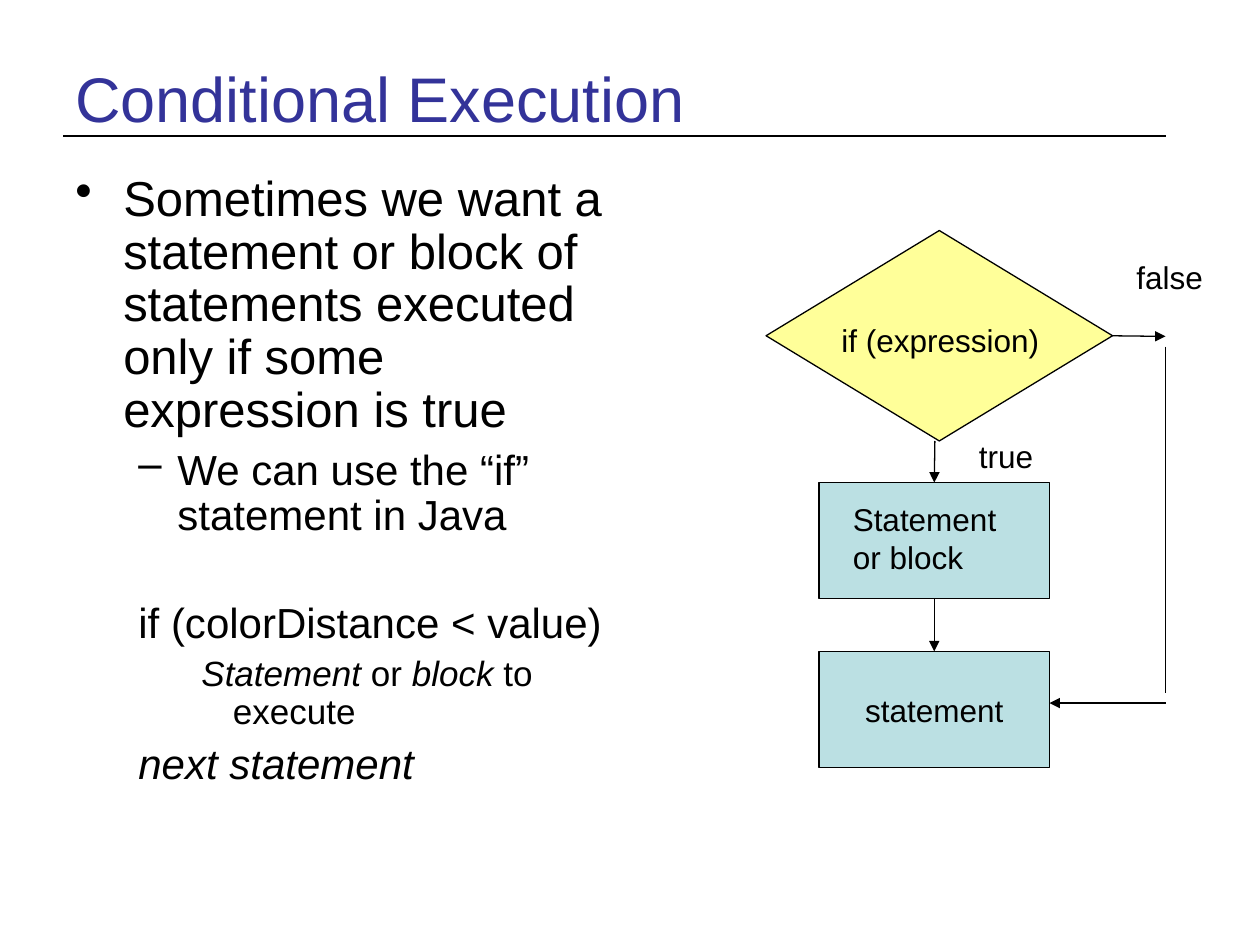
"""Build the Conditional Execution slide with its if-statement flowchart."""
import pptx
import pptx.dml.color
import pptx.enum.shapes
import pptx.enum.text
import pptx.oxml
import pptx.oxml.ns
import pptx.util
from pptx.util import Inches

BLACK = pptx.dml.color.RGBColor(0x00, 0x00, 0x00)
TITLE_BLUE = pptx.dml.color.RGBColor(0x33, 0x33, 0x99)
YELLOW = pptx.dml.color.RGBColor(0xFF, 0xFF, 0x99)
TEAL = pptx.dml.color.RGBColor(0xBB, 0xE0, 0xE3)
SHAPES = pptx.enum.shapes.MSO_SHAPE

deck = pptx.Presentation()
deck.slide_width, deck.slide_height = Inches(10), Inches(7.5)
slide = deck.slides.add_slide(deck.slide_layouts[6])


def add_line(start, end, width=0.75, arrow=False):
    line = slide.shapes.add_connector(
        pptx.enum.shapes.MSO_CONNECTOR.STRAIGHT, *map(Inches, start + end))
    line.line.color.rgb = BLACK
    line.line.width = pptx.util.Pt(width)
    if arrow:
        pptx.oxml.ns.qn("a:tailEnd")
        outline = line.line._get_or_add_ln()
        outline.append(pptx.oxml.parse_xml(
            f'<a:tailEnd {pptx.oxml.ns.nsdecls("a")} type="triangle"/>'))
    line._element.spPr.append(pptx.oxml.parse_xml(
        f'<a:effectLst {pptx.oxml.ns.nsdecls("a")}/>'))
    return line


def style_run(run, size, color=BLACK, italic=False):
    run.font.name = "Arial"
    run.font.size = pptx.util.Pt(size)
    run.font.color.rgb = color
    run.font.italic = italic


add_line((0.5, 1.08), (9.25, 1.08), width=1.5)

title = slide.shapes.add_textbox(Inches(0.5), Inches(0.3), Inches(9), Inches(0.95))
title.text_frame.word_wrap = True
title.text_frame.vertical_anchor = pptx.enum.text.MSO_ANCHOR.MIDDLE
title.text_frame.text = "Conditional Execution"
style_run(title.text_frame.paragraphs[0].runs[0], 36, TITLE_BLUE)

# (level, left margin, indent, space before, size, bullet, [(text, italic)])
outline_items = [
    (0, 0.38, -0.38, 7, 28, "•", [
        ("Sometimes we want a statement or block of statements executed "
         "only if some expression is true", False)]),
    (1, 0.81, -0.31, 6, 24, "–", [("We can use the “if” statement in Java", False)]),
    (1, 0.81, -0.31, 36, 24, None, [("if (colorDistance < value)", False)]),
    (2, 1.25, -0.25, 5, 20, None, [
        ("Statement", True), (" or ", False), ("block", True), (" to execute", False)]),
    (1, 0.81, -0.31, 6, 24, None, [("next statement", True)]),
]
body = slide.shapes.add_textbox(Inches(0.5), Inches(1.33), Inches(4.42), Inches(5.37))
body.text_frame.word_wrap = True
for index, (level, margin, indent, before, size, bullet, pieces) in enumerate(outline_items):
    item = body.text_frame.add_paragraph() if index else body.text_frame.paragraphs[0]
    item.level = level
    item.line_spacing = 0.9
    item.space_before = pptx.util.Pt(before)
    properties = item._p.get_or_add_pPr()
    properties.set("marL", str(Inches(margin)))
    properties.set("indent", str(Inches(indent)))
    bullet_xml = f'a:buChar {pptx.oxml.ns.nsdecls("a")} char="{bullet}"' if bullet else (
        f'a:buNone {pptx.oxml.ns.nsdecls("a")}')
    properties.append(pptx.oxml.parse_xml(f"<{bullet_xml}/>"))
    for text, italic in pieces:
        run = item.add_run()
        run.text = text
        style_run(run, size, italic=italic)

flow_steps = []
for kind, left, top, width, height, fill in [
    (SHAPES.DIAMOND, 6.08, 1.83, 2.75, 1.67, YELLOW),
    (SHAPES.RECTANGLE, 6.5, 3.83, 1.83, 0.92, TEAL),
    (SHAPES.RECTANGLE, 6.5, 5.17, 1.83, 0.92, TEAL),
]:
    step = slide.shapes.add_shape(kind, *map(Inches, (left, top, width, height)))
    step.shadow.inherit = False
    step.fill.solid()
    step.fill.fore_color.rgb = fill
    step.line.color.rgb = BLACK
    step.line.width = pptx.util.Pt(0.75)
    flow_steps.append(step)
decision, conditional_block, next_statement = flow_steps

next_statement.text_frame.word_wrap = False
next_statement.text_frame.vertical_anchor = pptx.enum.text.MSO_ANCHOR.MIDDLE
next_statement.text_frame.text = "statement"
next_statement.text_frame.paragraphs[0].alignment = pptx.enum.text.PP_ALIGN.CENTER
style_run(next_statement.text_frame.paragraphs[0].runs[0], 18)

true_arrow = add_line((7.42, 3.5), (7.42, 3.83), arrow=True)
true_arrow.end_connect(conditional_block, 0)
next_arrow = add_line((7.42, 4.75), (7.42, 5.17), arrow=True)
next_arrow.begin_connect(conditional_block, 2)
next_arrow.end_connect(next_statement, 0)
false_arrow = add_line((8.83, 2.67), (9.25, 2.67), arrow=True)
false_arrow.begin_connect(decision, 3)
add_line((9.25, 2.75), (9.25, 5.5))
add_line((9.25, 5.58), (8.33, 5.58), arrow=True)

for text, left, top, width, height in [
    ("if (expression)", 6.58, 2.5, 1.92, 0.4),
    ("true", 7.67, 3.42, 0.75, 0.4),
    ("false", 8.92, 2, 0.75, 0.4),
    ("Statement or block", 6.67, 3.92, 1.5, 0.7),
]:
    label = slide.shapes.add_textbox(*map(Inches, (left, top, width, height)))
    label.text_frame.word_wrap = True
    label.text_frame.auto_size = pptx.enum.text.MSO_AUTO_SIZE.SHAPE_TO_FIT_TEXT
    label.text_frame.text = text
    label.text_frame.paragraphs[0].space_before = pptx.util.Pt(11.2)
    style_run(label.text_frame.paragraphs[0].runs[0], 18)

deck.save("out.pptx")
